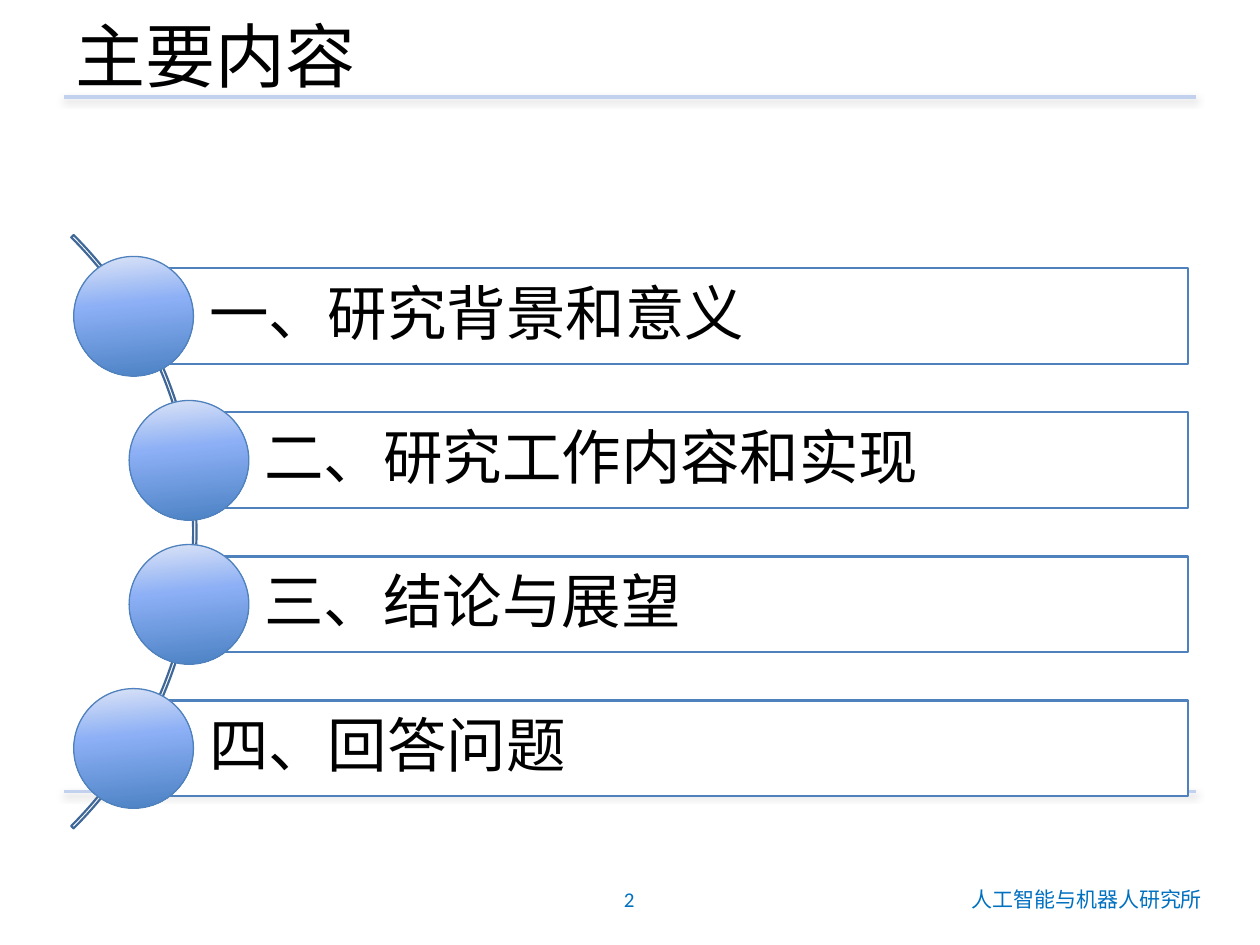
from copy import deepcopy

from lxml.etree import SubElement
from pptx import Presentation
from pptx.dml.color import RGBColor
from pptx.enum.shapes import MSO_CONNECTOR, MSO_SHAPE
from pptx.enum.text import MSO_ANCHOR, PP_ALIGN
from pptx.oxml.ns import qn
from pptx.util import Inches, Pt

COLORS = {
    "paper": "FFFFFF",
    "text": "000000",
    "note": "0070C0",
    "rule": "C2D1ED",
    "arc": "3F6797",
    "edge": "4F81BD",
    "shade": "000000",
}
BALL = [(0, "DDE5F6"), (0.4, "8CAFF5"), (1, "4A81C3")]
TOPICS = [
    ("一、研究背景和意义", 1.06),
    ("二、研究工作内容和实现", 1.5),
    ("三、结论与展望", 1.5),
    ("四、回答问题", 1.06),
]
TOP, LAST = 2.13, 5.56
RIGHT, BAR, SIZE = 9.43, 0.76, 0.95


def color(name):
    return RGBColor.from_string(COLORS[name])


def write(frame, text, size, font, ink, align=PP_ALIGN.LEFT):
    frame.text = text
    frame.word_wrap = True
    frame.vertical_anchor = MSO_ANCHOR.MIDDLE
    para = frame.paragraphs[0]
    para.alignment = align
    run = para.runs[0].font
    run.size, run.name = Pt(size), font
    run.color.rgb = color(ink)
    return para


def add_title(slide, text):
    title = slide.shapes.title
    title.left, title.top = Inches(0.5), Inches(-0.19)
    title.width, title.height = Inches(9), Inches(1.25)
    write(title.text_frame, text, 40, "Times New Roman", "text")


def add_rule(slide, y):
    """Add a full-width line with a soft shadow below it."""
    rule = slide.shapes.add_connector(
        MSO_CONNECTOR.STRAIGHT, Inches(0.51), Inches(y), Inches(9.49), Inches(y))
    rule.line.color.rgb = color("rule")
    rule.line.width = Pt(1.75)
    effects = SubElement(rule._element.spPr, qn("a:effectLst"))
    shadow = SubElement(effects, qn("a:outerShdw"), blurRad=str(Pt(4)),
                        dist=str(Pt(2)), dir="5400000", rotWithShape="0")
    shade = SubElement(shadow, qn("a:srgbClr"), val=COLORS["shade"])
    SubElement(shade, qn("a:alpha"), val="28000")


def add_shape(shapes, kind, box, edge, width):
    shape = shapes.add_shape(kind, *map(Inches, box))
    shape.shadow.inherit = False
    shape.line.color.rgb = color(edge)
    shape.line.width = Pt(width)
    return shape


def add_arc(shapes):
    arc = add_shape(shapes, MSO_SHAPE.BLOCK_ARC, (-5.1, 0.89, 6.66, 6.66), "arc", 1.25)
    arc.fill.background()
    for i, value in enumerate((189, 27, 0.004)):
        arc.adjustments[i] = value


def add_bar(shapes, text, left, top):
    bar = add_shape(shapes, MSO_SHAPE.RECTANGLE,
                    (left, top, RIGHT - left, BAR), "edge", 1.25)
    bar.fill.solid()
    bar.fill.fore_color.rgb = color("paper")
    frame = bar.text_frame
    para = write(frame, text, 34, "Calibri", "text")
    para.line_spacing = 0.9
    frame.margin_left = Inches(0.6)
    frame.margin_right = frame.margin_top = frame.margin_bottom = Inches(0.09)


def add_ball(shapes, left, top):
    """Add a circle centred on the left end of a bar."""
    box = (left - SIZE / 2, top + (BAR - SIZE) / 2, SIZE, SIZE)
    ball = add_shape(shapes, MSO_SHAPE.OVAL, box, "edge", 0.75)
    fill = ball.fill
    fill.gradient()
    fill.gradient_angle = 360 - 84
    stops = ball._element.spPr.find(".//" + qn("a:gsLst"))
    stops.append(deepcopy(stops[0]))
    for stop, (place, shade) in zip(fill.gradient_stops, BALL):
        stop.position = place
        stop.color.rgb = RGBColor.from_string(shade)


def add_note(slide, text, box, font, align):
    note = slide.shapes.add_textbox(*map(Inches, box))
    write(note.text_frame, text, 12, font, "note", align)
    return note


def main():
    deck = Presentation()
    deck.slide_width, deck.slide_height = Inches(10), Inches(7.5)
    slide = deck.slides.add_slide(deck.slide_layouts[5])
    slide.background.fill.solid()
    slide.background.fill.fore_color.rgb = color("paper")

    office = add_note(slide, "人工智能与机器人研究所", (7.59, 6.99, 2.05, 0.3),
                      "Noto Sans CJK SC", PP_ALIGN.RIGHT)
    office.text_frame.word_wrap = False
    for y in (0.77, 6.28):
        add_rule(slide, y)
    add_title(slide, "主要内容")

    shapes = slide.shapes.add_group_shape().shapes
    add_arc(shapes)
    step = (LAST - TOP) / (len(TOPICS) - 1)
    for i, (text, left) in enumerate(TOPICS):
        top = TOP + i * step
        add_bar(shapes, text, left, top)
        add_ball(shapes, left, top)

    add_note(slide, "2", (3.83, 6.94, 2.33, 0.4), "Calibri", PP_ALIGN.CENTER)
    deck.save("out.pptx")


if __name__ == "__main__":
    main()
